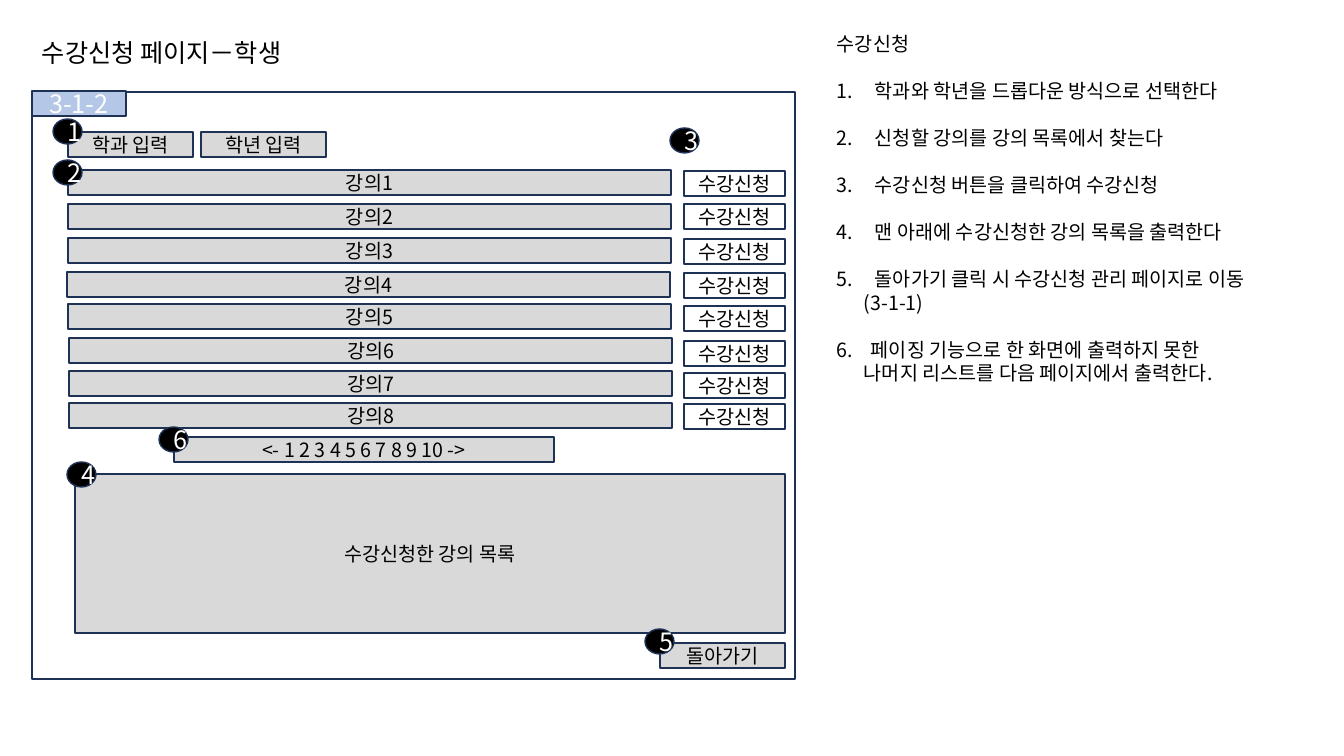
from lxml.etree import SubElement
from pptx import Presentation
from pptx.dml.color import RGBColor
from pptx.enum.shapes import MSO_SHAPE
from pptx.enum.text import MSO_ANCHOR, MSO_AUTO_SIZE, PP_ALIGN
from pptx.oxml.ns import qn
from pptx.util import Pt

PX = 914400 / 100.8
THEME = {
    "font": "Noto Sans CJK KR",
    "black": RGBColor.from_string("000000"),
    "white": RGBColor.from_string("FFFFFF"),
    "gray": RGBColor.from_string("D9D9D9"),
    "blue": RGBColor.from_string("B4C7E7"),
    "navy": RGBColor.from_string("1E3256"),
    "body": Pt(14),
    "large": Pt(18),
    "line": Pt(16.8),
}


def write(p, text, size="body", color="black", **formats):
    for key, value in formats.items():
        setattr(p, key, value)
    r = p.add_run()
    r.text = text
    for key, value in {"name": THEME["font"], "size": THEME[size]}.items():
        setattr(r.font, key, value)
    r.font.color.rgb = THEME[color]
    SubElement(r.font._element, qn("a:ea"), typeface=THEME["font"])


def draw(at, text="", fill="gray", size="body", color="black", kind=MSO_SHAPE.RECTANGLE):
    sp = s.shapes.add_shape(kind, *[round(v * PX) for v in at])
    sp.shadow.inherit = False
    sp.fill.solid()
    sp.fill.fore_color.rgb = THEME[fill]
    sp.line.color.rgb = THEME["navy"]
    sp.line.width = Pt(1)
    if text:
        tf = sp.text_frame
        for key, value in {"word_wrap": True, "vertical_anchor": MSO_ANCHOR.MIDDLE}.items():
            setattr(tf, key, value)
        write(tf.paragraphs[0], text, size, color, alignment=PP_ALIGN.CENTER)


prs = Presentation()
prs.slide_width = round(1344 * PX)
prs.slide_height = round(756 * PX)
s = prs.slides.add_slide(prs.slide_layouts[6])

tf = s.shapes.add_textbox(*[round(v * PX) for v in (32, 32, 284, 40)]).text_frame
for key, value in {"word_wrap": False, "auto_size": MSO_AUTO_SIZE.SHAPE_TO_FIT_TEXT}.items():
    setattr(tf, key, value)
write(tf.paragraphs[0], "수강신청 페이지－학생", "large")

steps = [
    ("학과와 학년을 드롭다운 방식으로 선택한다", 38, ""),
    ("신청할 강의를 강의 목록에서 찾는다", 38, ""),
    ("수강신청 버튼을 클릭하여 수강신청", 38, ""),
    ("맨 아래에 수강신청한 강의 목록을 출력한다", 38, ""),
    ("돌아가기 클릭 시 수강신청 관리 페이지로 이동", 38, "(3-1-1)"),
    ("페이징 기능으로 한 화면에 출력하지 못한", 34, "나머지 리스트를 다음 페이지에서 출력한다."),
]
tf = s.shapes.add_textbox(*[round(v * PX) for v in (827, 27, 493, 414)]).text_frame
for key, value in {"word_wrap": True, "auto_size": MSO_AUTO_SIZE.SHAPE_TO_FIT_TEXT}.items():
    setattr(tf, key, value)
write(tf.paragraphs[0], "수강신청", line_spacing=THEME["line"])
for number, (step, indent, more) in enumerate(steps, 1):
    p = tf.add_paragraph()
    pPr = p._p.get_or_add_pPr()
    pPr.set("marL", str(round(indent * PX)))
    pPr.set("indent", str(round(-indent * PX)))
    SubElement(pPr, qn("a:buFont"), typeface=THEME["font"])
    SubElement(pPr, qn("a:buAutoNum"), type="arabicPeriod", startAt=str(number))
    write(p, step, line_spacing=THEME["line"], space_before=THEME["line"])
    if more:
        p = tf.add_paragraph()
        p._p.get_or_add_pPr().set("marL", str(round(27 * PX)))
        write(p, more, line_spacing=THEME["line"])

draw((32, 92, 763, 587), fill="white")
draw((32, 91, 94, 25), "3-1-2", "blue", "large", "white")
draw((68, 132, 125, 25), "학과 입력")
draw((201, 132, 125, 25), "학년 입력")

course_lefts = [68, 68, 68, 67, 68, 69, 69, 69]
course_tops = [170, 204, 238, 272, 304, 338, 371, 403]
button_tops = [171, 204, 239, 273, 306, 341, 373, 404]
for i, (left, top, button_top) in enumerate(zip(course_lefts, course_tops, button_tops), 1):
    draw((left, top, 603, 25), f"강의{i}")
    draw((684, button_top, 101, 25), "수강신청", "white")

draw((174, 437, 380, 25), "<- 1 2 3 4 5 6 7 8 9 10 ->")
draw((75, 474, 710, 159), "수강신청한 강의 목록")
draw((660, 643, 125, 25), "돌아가기")

markers = [(53, 119), (53, 160), (670, 128), (67, 462), (645, 629), (159, 427)]
for number, (left, top) in enumerate(markers, 1):
    draw((left, top, 29, 25), str(number), "black", "large", "white", MSO_SHAPE.OVAL)

prs.save("out.pptx")
